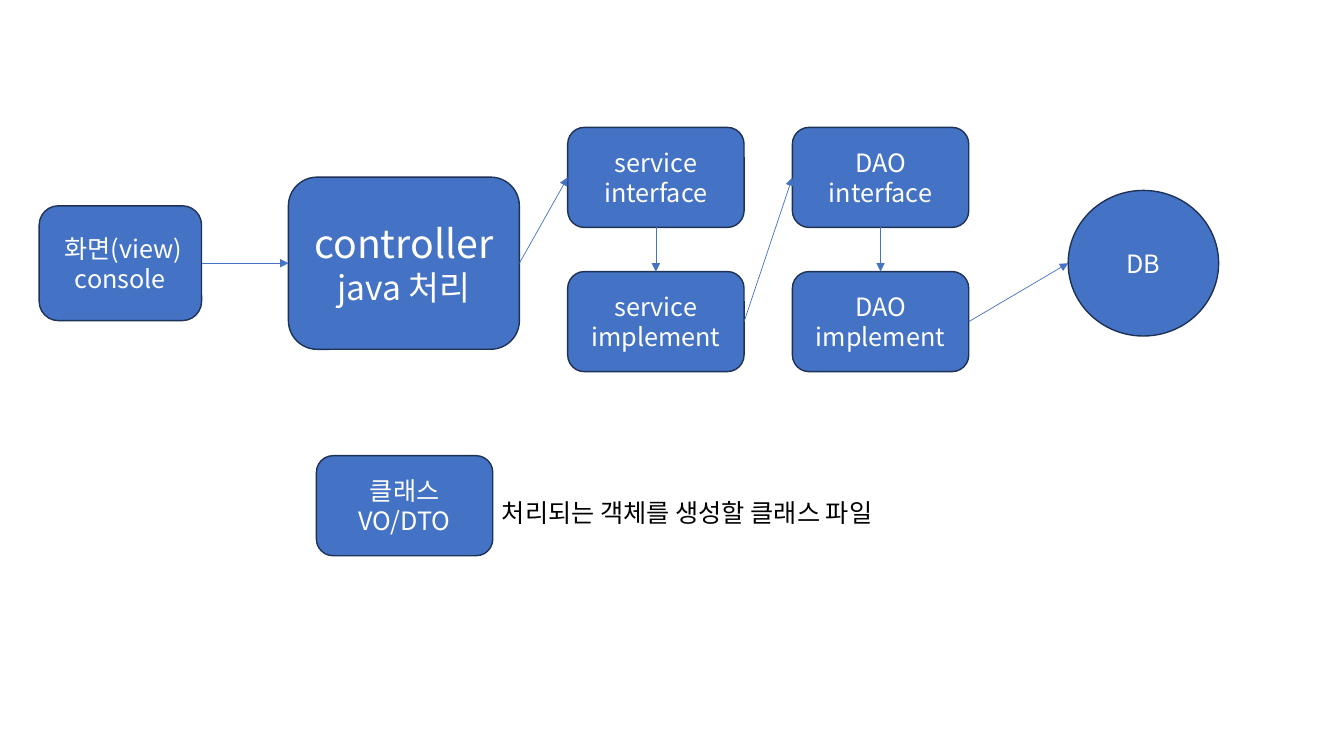
from lxml import etree
from pptx import Presentation
from pptx.dml.color import RGBColor
from pptx.enum.shapes import MSO_CONNECTOR, MSO_SHAPE
from pptx.enum.text import MSO_ANCHOR, MSO_AUTO_SIZE, PP_ALIGN
from pptx.oxml.ns import qn
from pptx.util import Pt

ROUNDED, OVAL = MSO_SHAPE.ROUNDED_RECTANGLE, MSO_SHAPE.OVAL
STRAIGHT = MSO_CONNECTOR.STRAIGHT
MIDDLE = MSO_ANCHOR.MIDDLE
GROW = MSO_AUTO_SIZE.SHAPE_TO_FIT_TEXT
CENTER, LEFT = PP_ALIGN.CENTER, PP_ALIGN.LEFT

COLORS = {"blue": "4472C4", "navy": "1E3256", "white": "FFFFFF", "black": "000000"}
FONT = "Noto Sans CJK KR"
LAYER_SIZE = (126, 71.5)
TOP, SIDE_LEFT, BOTTOM, SIDE_RIGHT = range(4)
OVAL_LEFT = 2


def color(name):
    return RGBColor.from_string(COLORS[name])


def apply(target, formats):
    for attribute, value in formats.items():
        setattr(target, attribute, value)


def write(frame, lines, ink, align):
    for index, (words, size) in enumerate(lines):
        paragraph = frame.add_paragraph() if index else frame.paragraphs[0]
        paragraph.alignment = align
        run = paragraph.add_run()
        run.text = words
        apply(run.font, {"name": FONT, "size": Pt(size)})
        run.font.color.rgb = color(ink)
        etree.SubElement(run._r.get_or_add_rPr(), qn("a:ea"), typeface=FONT)


def add_node(slide, left, top, size, lines, kind=ROUNDED):
    node = slide.shapes.add_shape(kind, Pt(left), Pt(top), *map(Pt, size))
    node.shadow.inherit = False
    node.fill.solid()
    node.fill.fore_color.rgb = color("blue")
    node.line.color.rgb = color("navy")
    node.line.width = Pt(1)
    apply(node.text_frame, {"vertical_anchor": MIDDLE, "word_wrap": True})
    write(node.text_frame, lines, "white", CENTER)
    return node


def side_point(node, side):
    across = {SIDE_LEFT: 0, SIDE_RIGHT: node.width}.get(side, node.width // 2)
    down = {TOP: 0, BOTTOM: node.height}.get(side, node.height // 2)
    return node.left + across, node.top + down


def add_arrow(slide, source, source_side, target, target_side):
    start, end = side_point(source, source_side), side_point(target, target_side)
    arrow = slide.shapes.add_connector(STRAIGHT, *start, *end)
    arrow.begin_connect(source, source_side)
    arrow.end_connect(target, OVAL_LEFT if target.auto_shape_type == OVAL else target_side)
    apply(arrow, {"end_x": end[0], "end_y": end[1]})
    arrow.line.color.rgb = color("blue")
    arrow.line.width = Pt(0.5)
    properties = arrow._element.spPr
    etree.SubElement(properties.find(qn("a:ln")), qn("a:tailEnd"), type="triangle")
    etree.SubElement(properties, qn("a:effectLst"))


def add_layer(slide, left, top, title):
    interface, implement = (
        add_node(slide, left, top + row * 103, LAYER_SIZE, [(title, 18), (part, 18)])
        for row, part in enumerate(("interface", "implement")))
    add_arrow(slide, interface, BOTTOM, implement, TOP)
    return interface, implement


def add_request_flow(slide, left, top, height):
    def centered(offset, size, lines, kind=ROUNDED):
        return add_node(slide, left + offset, top + (height - size[1]) / 2, size, lines, kind)

    database = centered(735, (107.5, 104), [("DB", 18)], OVAL)
    view = centered(0, (116, 82), [(" 화면(view)", 18), ("console", 18)])
    controller = centered(178, (165, 123), [("controller", 28), ("java 처리", 24)])
    service, service_implement = add_layer(slide, left + 377.5, top, "service")
    dao, dao_implement = add_layer(slide, left + 538, top, "DAO")
    for source, target in ((view, controller), (controller, service),
                           (service_implement, dao), (dao_implement, database)):
        add_arrow(slide, source, SIDE_RIGHT, target, SIDE_LEFT)


def add_data_class(slide, left, top):
    add_node(slide, left, top, LAYER_SIZE, [("클래스", 18), ("VO/DTO", 18)])
    caption = slide.shapes.add_textbox(Pt(left + 125.5), Pt(top + 26.5), Pt(313), Pt(29))
    apply(caption.text_frame, {"word_wrap": False, "auto_size": GROW})
    write(caption.text_frame, [("처리되는 객체를 생성할 클래스 파일", 18)], "black", LEFT)


deck = Presentation()
apply(deck, {"slide_width": Pt(960), "slide_height": Pt(540)})
architecture = deck.slides.add_slide(deck.slide_layouts[6])
add_request_flow(architecture, 28, 91, 194)
add_data_class(architecture, 226, 325.5)
deck.save("out.pptx")
